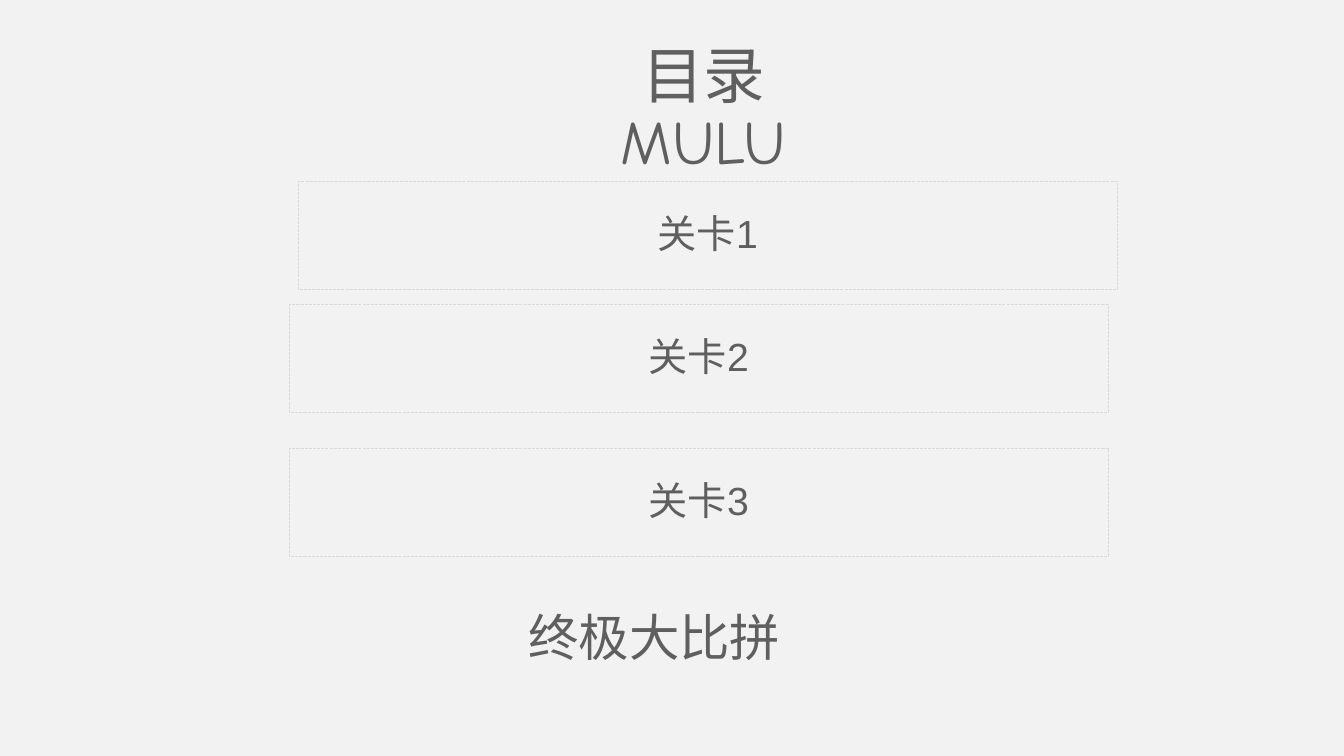
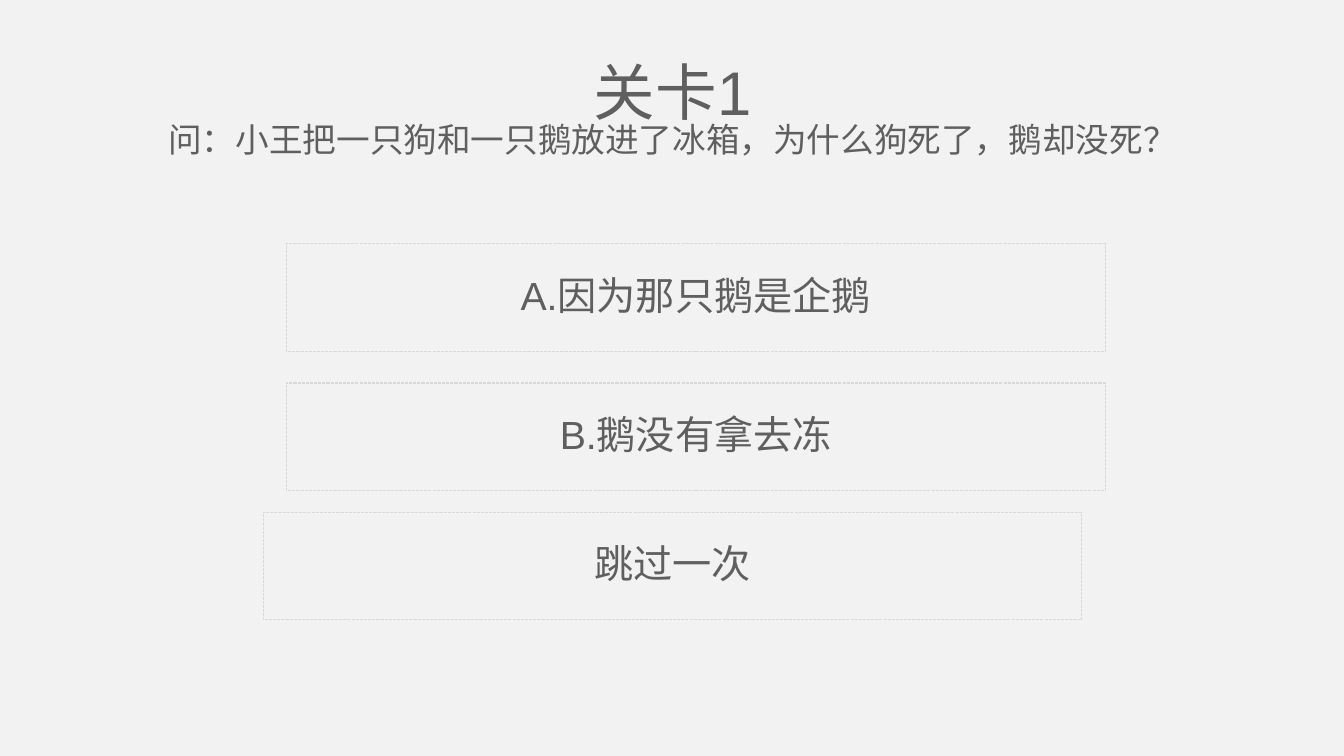
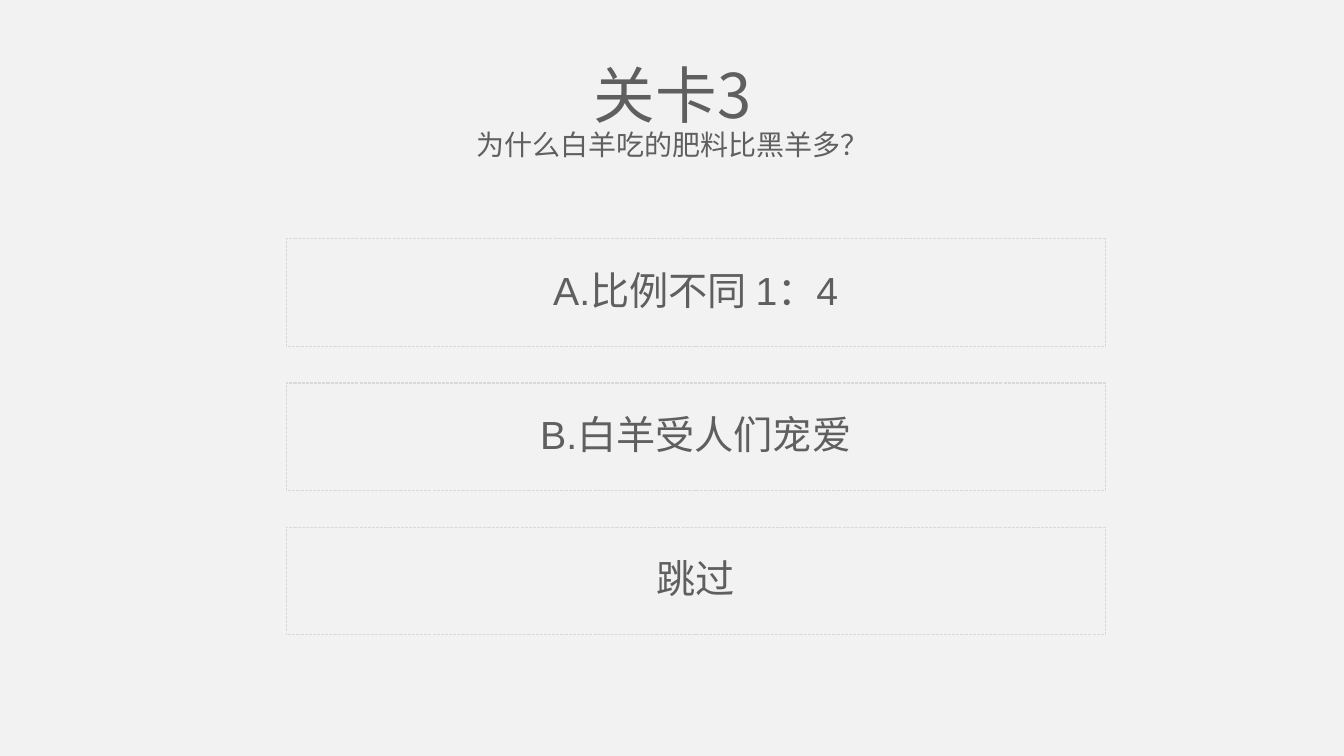
from lxml import etree
from pptx import Presentation
from pptx.dml.color import RGBColor
from pptx.enum.dml import MSO_LINE
from pptx.enum.shapes import MSO_SHAPE
from pptx.enum.text import MSO_ANCHOR, MSO_AUTO_SIZE, PP_ALIGN
from pptx.oxml.ns import qn
from pptx.util import Inches, Pt

PAPER = RGBColor(0xF2, 0xF2, 0xF2)
INK = RGBColor(0x5F, 0x5F, 0x5F)
FRAME = RGBColor(0xD9, 0xD9, 0xD9)
LATIN = "Arial"
HAN = "Noto Sans CJK SC"
DISPLAY = "Comic Neue"
CENTER, LEFT = PP_ALIGN.CENTER, PP_ALIGN.LEFT
MIDDLE = MSO_ANCHOR.MIDDLE
GROW = MSO_AUTO_SIZE.SHAPE_TO_FIT_TEXT
RECTANGLE = MSO_SHAPE.RECTANGLE
DASH = MSO_LINE.SQUARE_DOT
BLANK_LAYOUT = 6
TITLE_WIDTH, TITLE_HEIGHT = 11.5, 1.45
BUTTON_WIDTH, BUTTON_HEIGHT = 8.12, 1.07
BUTTON_LEFT = 2.84
BUTTON_STEP = 1.43


def write(paragraph, text, size, latin=LATIN, align=CENTER, spacing=0.9):
    """Fill a paragraph with text in the shared ink colour."""
    paragraph.text = text
    paragraph.alignment = align
    paragraph.line_spacing = spacing
    font = paragraph.font
    font.size = Pt(size)
    font.color.rgb = INK
    font.name = latin
    etree.SubElement(font._rPr, qn("a:ea")).set("typeface", HAN)


def add_title(slide, left, top, lines, spacing=0.9):
    """Place a centred heading of (text, size, font) lines."""
    title = slide.shapes.add_textbox(
        Inches(left), Inches(top), Inches(TITLE_WIDTH), Inches(TITLE_HEIGHT))
    frame = title.text_frame
    frame.word_wrap = True
    frame.vertical_anchor = MIDDLE
    for index, (text, size, latin) in enumerate(lines):
        paragraph = frame.add_paragraph() if index else frame.paragraphs[0]
        write(paragraph, text, size, latin, spacing=spacing)


def add_button(slide, text, left, top):
    """Place one dashed box with a centred label."""
    button = slide.shapes.add_shape(
        RECTANGLE, Inches(left), Inches(top),
        Inches(BUTTON_WIDTH), Inches(BUTTON_HEIGHT))
    button.shadow.inherit = False
    button.fill.background()
    button.line.color.rgb = FRAME
    button.line.width = Pt(0.75)
    button.line.dash_style = DASH
    frame = button.text_frame
    frame.word_wrap = True
    frame.vertical_anchor = MIDDLE
    label = frame.paragraphs[0]
    write(label, text, 28)
    label.space_before = Pt(10)


def add_finale(slide, left, top, width, height):
    """Place the closing entry, inset from the left of its box."""
    finale = slide.shapes.add_textbox(
        Inches(left), Inches(top), Inches(width), Inches(height))
    frame = finale.text_frame
    frame.word_wrap = True
    frame.auto_size = GROW
    frame.margin_left = Inches(2.42)
    write(frame.paragraphs[0], "终极大比拼", 36, align=LEFT, spacing=1.0)


def add_page(deck, buttons):
    """Add a slide with its (text, left, top) buttons."""
    slide = deck.slides.add_slide(deck.slide_layouts[BLANK_LAYOUT])
    for text, left, top in buttons:
        add_button(slide, text, left, top)
    return slide


def build_contents(deck):
    """Build the table of contents."""
    slide = add_page(deck, [
        ("关卡1", 2.96, 1.8), ("关卡2", 2.87, 3.02), ("关卡3", 2.87, 4.45)])
    add_title(slide, 1.23, 0.38, [("目录", 44, HAN), ("MULU", 44, DISPLAY)])
    add_finale(slide, 2.82, 5.96, 8.03, 0.7)


def build_question(deck, level, question, size, latin, spacing, buttons):
    """Build a level slide with its question and answers."""
    slide = add_page(deck, buttons)
    add_title(slide, 0.92, 0.4,
              [(level, 44, latin), (question, size, latin)], spacing)


def main():
    """Build and save the deck."""
    deck = Presentation()
    deck.slide_width, deck.slide_height = Inches(13.33), Inches(7.5)
    background = deck.slide_master.background.fill
    background.solid()
    background.fore_color.rgb = PAPER

    build_contents(deck)
    build_question(
        deck, "关卡1", "问：小王把一只狗和一只鹅放进了冰箱，为什么狗死了，鹅却没死？",
        24, LATIN, 0.8,
        [("A.因为那只鹅是企鹅", BUTTON_LEFT, 2.42),
         ("B.鹅没有拿去冻", BUTTON_LEFT, 3.8),
         ("跳过一次", 2.61, 5.08)])
    answers = ["A.比例不同 1：4", "B.白羊受人们宠爱", "跳过"]
    build_question(
        deck, "关卡3", "为什么白羊吃的肥料比黑羊多？", 20, HAN, 0.9,
        [(answer, BUTTON_LEFT, 2.37 + row * BUTTON_STEP)
         for row, answer in enumerate(answers)])
    deck.save("out.pptx")


if __name__ == "__main__":
    main()
